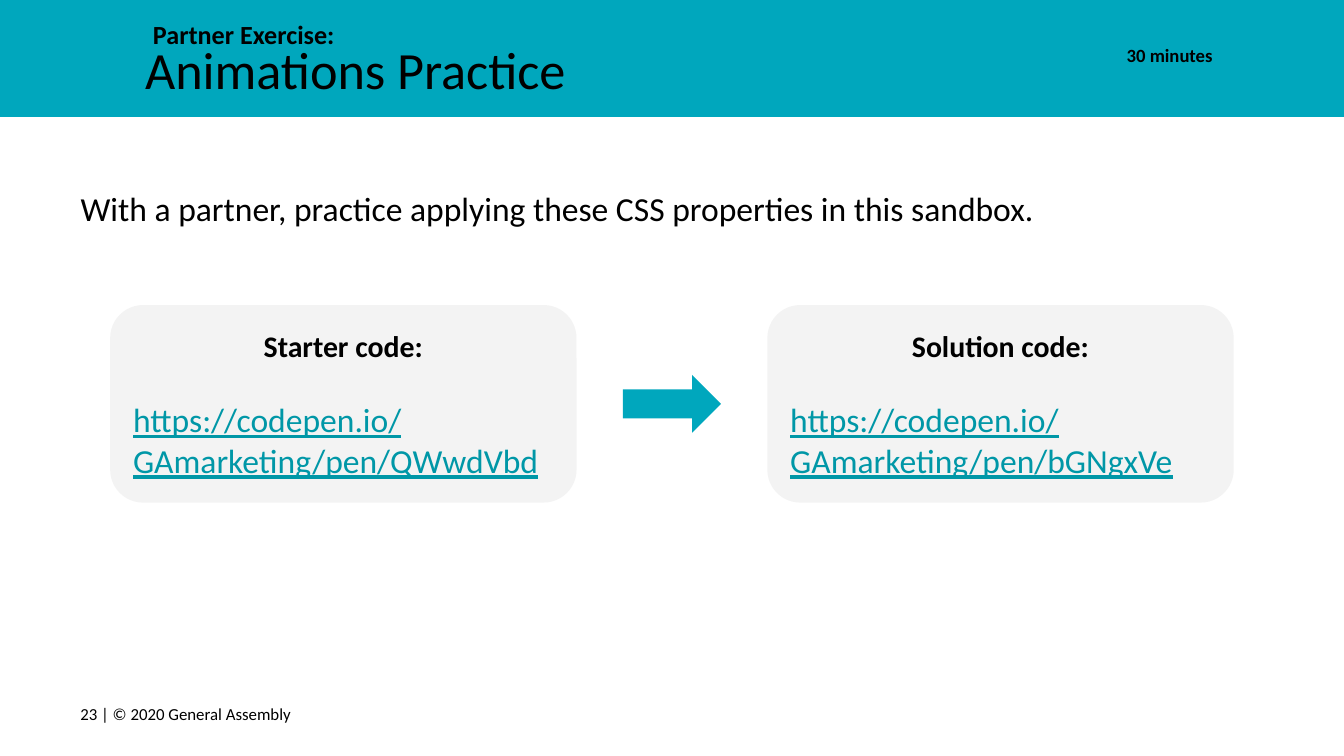
from pptx import Presentation
from pptx.dml.color import RGBColor
from pptx.enum.shapes import MSO_SHAPE
from pptx.enum.text import MSO_ANCHOR, MSO_AUTO_SIZE, PP_ALIGN
from pptx.oxml.ns import qn
from pptx.util import Inches, Pt

RECT, ROUND, ARROW = MSO_SHAPE.RECTANGLE, MSO_SHAPE.ROUNDED_RECTANGLE, MSO_SHAPE.RIGHT_ARROW
TOP, MIDDLE = MSO_ANCHOR.TOP, MSO_ANCHOR.MIDDLE
LEFT, CENTER, RIGHT = PP_ALIGN.LEFT, PP_ALIGN.CENTER, PP_ALIGN.RIGHT
NO_FIT = MSO_AUTO_SIZE.NONE

TEAL, LINK, GREY, BLACK = "00A7BD", "0097A7", "F3F3F3", "000000"
SLIDE_W = 10
SLIDE_H = SLIDE_W * 9 / 16
CARD_W, CARD_H, CARD_TOP, CARD_MARGIN = 3.47, 1.47, 2.27, 0.82
ARROW_W, ARROW_H, ARROW_TOP = 0.73, 0.43, 2.79

TITLE = "Animations Practice"
TASK = "With a partner, practice applying these CSS properties in this sandbox."
LABELS = [
    ("Partner Exercise:", (1.04, 0.04, 2.43, 0.5), TOP, LEFT, {"size": 14, "bold": True}),
    ("30 minutes", (7.66, 0.23, 1.46, 0.36), TOP, RIGHT, {"size": 10, "bold": True}),
    ("23 | © 2020 General Assembly", (0.5, 5.1, 3.13, 0.43), MIDDLE, LEFT, {"size": 9}),
]
CARDS = [
    ("Starter code:", "https://codepen.io/GAmarketing/pen/QWwdVbd"),
    ("Solution code:", "https://codepen.io/GAmarketing/pen/bGNgxVe"),
]


def rgb(value):
    return RGBColor.from_string(value)


def place(shape, box):
    for name, value in zip(("left", "top", "width", "height"), box):
        setattr(shape, name, Inches(value))


def setup(shape, anchor, inset=0.1):
    tf = shape.text_frame
    margins = {f"margin_{side}": Inches(inset) for side in ("left", "top", "right", "bottom")}
    for name, value in {"word_wrap": True, "auto_size": NO_FIT,
                        "vertical_anchor": anchor, **margins}.items():
        setattr(tf, name, value)
    return tf


def write(p, text, align=LEFT, color=BLACK, size=18, **style):
    p.alignment = align
    r = p.add_run()
    r.text = text
    for name, value in {"name": "Calibri", "size": Pt(size), "bold": False, **style}.items():
        setattr(r.font, name, value)
    r.font.color.rgb = rgb(color)


def add_block(s, kind, box, fill):
    sp = s.shapes.add_shape(kind, *map(Inches, box))
    sp.shadow.inherit = False
    sp.fill.solid()
    sp.fill.fore_color.rgb = rgb(fill)
    sp.line.fill.background()
    return sp


prs = Presentation()
prs.slide_width, prs.slide_height = Inches(SLIDE_W), Inches(SLIDE_H)
s = prs.slides.add_slide(prs.slide_layouts[1])

title, body = s.placeholders
header = add_block(s, RECT, (0, -0.01, SLIDE_W, 0.88), TEAL)
title.element.addprevious(header.element)

place(title, (1.08, 0.26, 5.39, 0.5))
write(setup(title, MIDDLE, 0).paragraphs[0], TITLE, size=28)

place(body, (0.5, 1.25, 9, 0.65))
p = setup(body, TOP).paragraphs[0]
pPr = p._p.get_or_add_pPr()
pPr.set("marL", "0")
pPr.set("indent", "0")
pPr.append(pPr.makeelement(qn("a:buNone"), {}))
p.line_spacing, p.space_before, p.space_after = 1.15, Pt(0), Pt(16)
write(p, TASK)

for text, box, anchor, align, style in LABELS:
    tb = s.shapes.add_textbox(*map(Inches, box))
    write(setup(tb, anchor).paragraphs[0], text, align, **style)

card_step = SLIDE_W - 2 * CARD_MARGIN - CARD_W
for i, (heading, url) in enumerate(CARDS):
    card = add_block(s, ROUND, (CARD_MARGIN + i * card_step, CARD_TOP, CARD_W, CARD_H), GREY)
    tf = setup(card, TOP)
    p = tf.paragraphs[0]
    p.space_after = Pt(19)
    write(p, heading, CENTER, size=16, bold=True)
    write(tf.add_paragraph(), url, color=LINK, underline=True)

add_block(s, ARROW, ((SLIDE_W - ARROW_W) / 2, ARROW_TOP, ARROW_W, ARROW_H), TEAL)

prs.save("out.pptx")
